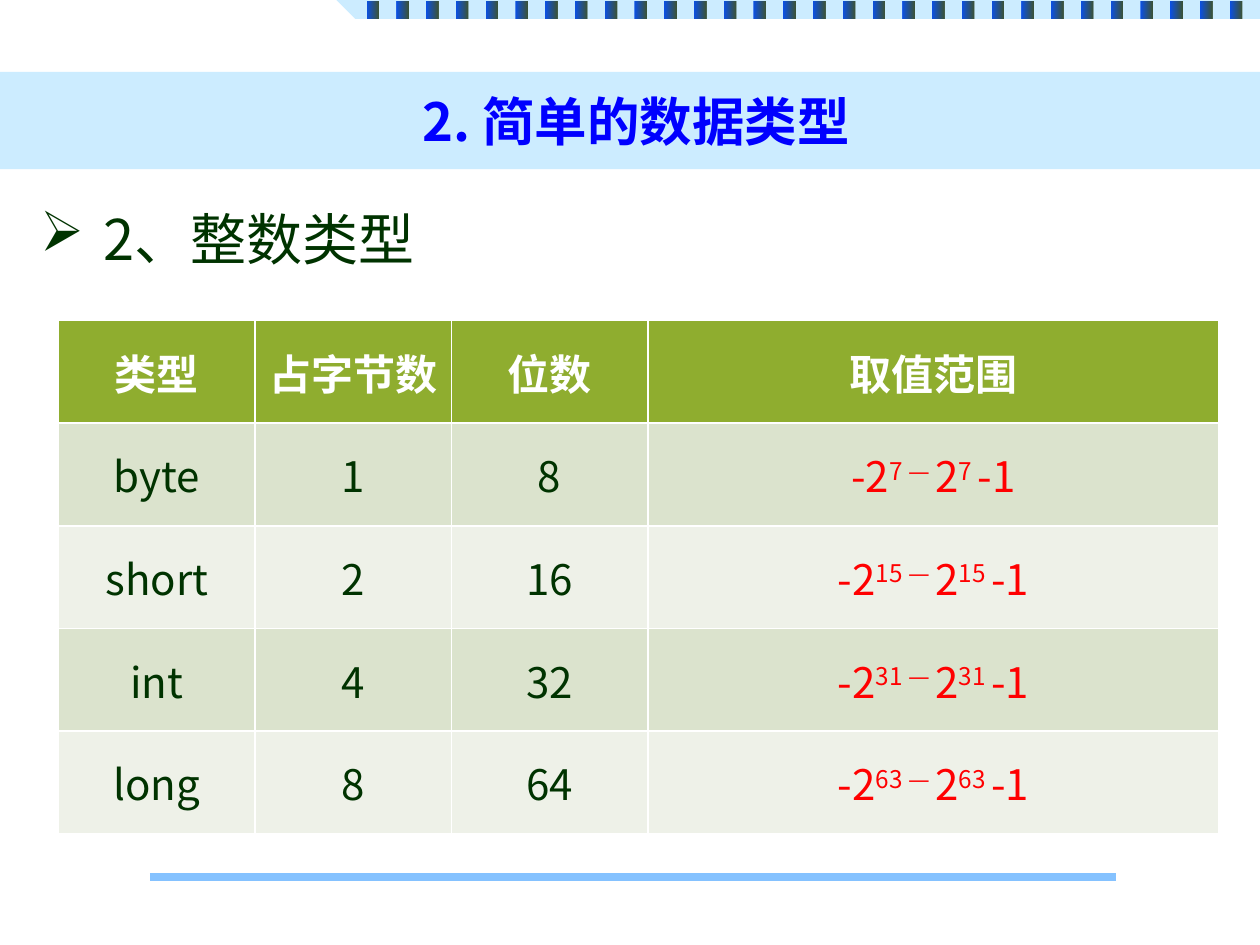
import pptx
import pptx.util
import pptx.dml.color
import pptx.enum.shapes
import pptx.enum.text
import pptx.oxml.ns
import lxml.etree

Cm = pptx.util.Cm
Pt = pptx.util.Pt
RECT = pptx.enum.shapes.MSO_SHAPE.RECTANGLE
CENTER = pptx.enum.text.PP_ALIGN.CENTER
MIDDLE = pptx.enum.text.MSO_ANCHOR.MIDDLE
FACE = "Noto Sans CJK SC"
qn = pptx.oxml.ns.qn


def paint(color, tone):
    color.rgb = pptx.dml.color.RGBColor.from_string(tone)


def style(par, size, tone, bold=False):
    font = par.font
    font.name = FACE
    font.size = Pt(size)
    font.bold = bold
    paint(font.fill.fore_color if font.fill.type else font.color, tone)
    lxml.etree.SubElement(font._rPr, qn("a:ea"), typeface=FACE)


deck = pptx.Presentation()
deck.slide_width = Cm(25.4)
deck.slide_height = Cm(19.05)
slide = deck.slides.add_slide(deck.slide_layouts[6])
shapes = slide.shapes

path = shapes.build_freeform(Cm(6.78), 0)
path.add_line_segments([(Cm(7.16), Cm(0.38)), (Cm(25.4), Cm(0.38)), (Cm(25.4), 0)])
strip = path.convert_to_shape()
strip.shadow.inherit = False
strip.fill.solid()
paint(strip.fill.fore_color, "CCECFF")
strip.line.fill.background()

for i in range(30):
    bar = shapes.add_shape(RECT, Cm(7.39 + 0.6 * i), Cm(0.02), Cm(0.25), Cm(0.37))
    bar.shadow.inherit = False
    bar.fill.gradient()
    bar.fill.gradient_angle = 0
    for stop, tone, spot in zip(bar.fill.gradient_stops, ("0A50E6", "3A5238"), (0, 1)):
        paint(stop.color, tone)
        stop.position = spot
    bar.line.fill.background()

rule = shapes.add_connector(
    pptx.enum.shapes.MSO_CONNECTOR.STRAIGHT, Cm(3.02), Cm(17.68), Cm(22.5), Cm(17.68)
)
paint(rule.line.color, "85C2FF")
rule.line.width = Pt(5)
lxml.etree.SubElement(rule._element.spPr, qn("a:effectLst"))

title = shapes.add_shape(RECT, 0, Cm(1.45), Cm(25.4), Cm(1.96))
title.shadow.inherit = False
title.fill.solid()
paint(title.fill.fore_color, "CCECFF")
title.line.fill.background()
title.text_frame.vertical_anchor = MIDDLE
par = title.text_frame.paragraphs[0]
par.text = " 2. 简单的数据类型"
par.alignment = CENTER
style(par, 30, "0000FF", True)

head = shapes.add_textbox(Cm(0.56), Cm(3.99), Cm(23.34), Cm(1.63))
head.text_frame.word_wrap = True
par = head.text_frame.paragraphs[0]
par.text = "2、整数类型"
style(par, 32, "003300")
props = par._p.get_or_add_pPr()
props.set("marL", str(Cm(1.27)))
props.set("indent", str(-Cm(1.27)))
mark = lxml.etree.Element(qn("a:buChar"), char="➢")
props.insert(0, mark)

rows = [
    ("类型", "占字节数", "位数", "取值范围"),
    ("byte", "1", "8", "7"),
    ("short", "2", "16", "15"),
    ("int", "4", "32", "31"),
    ("long", "8", "64", "63"),
]
grid = shapes.add_table(5, 4, Cm(1.18), Cm(6.46), Cm(23.39), Cm(10.35)).table
for col, width in zip(grid.columns, (3.96, 3.96, 3.96, 11.51)):
    col.width = Cm(width)
for r, row in enumerate(rows):
    grid.rows[r].height = Cm(2.07)
    for c, word in enumerate(row):
        cell = grid.cell(r, c)
        cell.vertical_anchor = MIDDLE
        cell.fill.solid()
        paint(cell.fill.fore_color, "8FAD2F" if r == 0 else ("EEF1E8", "DBE3CD")[r % 2])
        par = cell.text_frame.paragraphs[0]
        par.alignment = CENTER
        if r == 0:
            par.text = word
            style(par, 24, "FFFFFF", True)
        elif c < 3:
            par.text = word
            style(par, 24, "003300")
        else:
            for k, part in enumerate(("-2", word + " — ", "2", word + " ", "-1")):
                run = par.add_run()
                run.text = part
                if k % 2:
                    run._r.get_or_add_rPr().set("baseline", "30000")
            style(par, 24, "FF0000")

deck.save("out.pptx")
